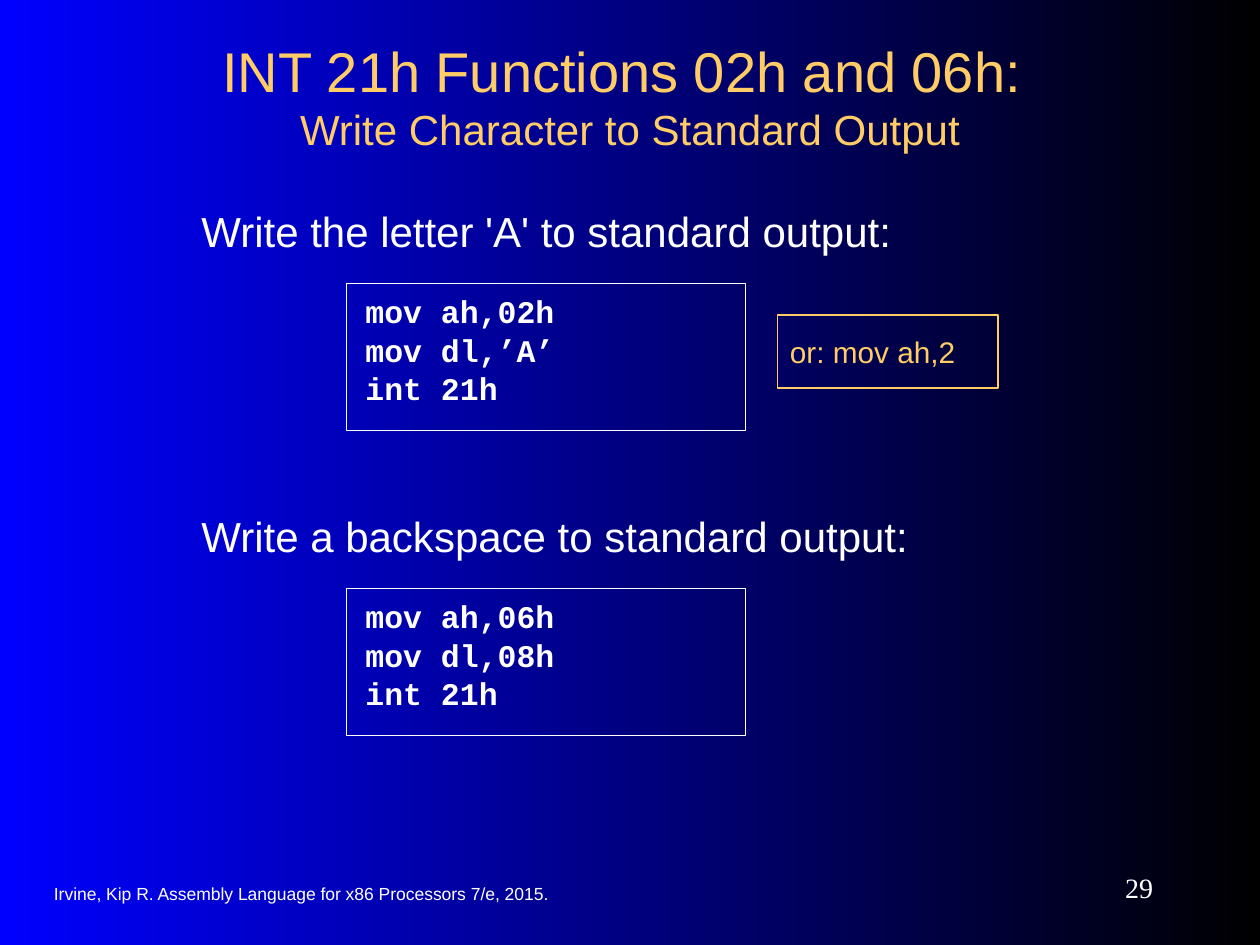
from pptx import Presentation
from pptx.dml.color import RGBColor
from pptx.enum.shapes import MSO_SHAPE
from pptx.enum.text import MSO_ANCHOR, PP_ALIGN
from pptx.util import Inches, Pt

WHITE = "FFFFFF"
GOLD = "FFCC66"


def color(value):
    return RGBColor.from_string(value)


def write(para, text, size, shade=WHITE, font="Arial", bold=False):
    span = para.add_run()
    span.text = text
    span.font.name = font
    span.font.size = Pt(size)
    span.font.bold = bold
    span.font.color.rgb = color(shade)


deck = Presentation()
deck.slide_width = Inches(10)
deck.slide_height = Inches(7.5)
page = deck.slides.add_slide(deck.slide_layouts[6])

# Background: blue on the left fading to black
fill = page.background.fill
fill.gradient()
fill.gradient_angle = 0
for stop, shade, position in zip(fill.gradient_stops, ("0000FF", "000000"), (0, 1)):
    stop.color.rgb = color(shade)
    stop.position = position

# Footer and page number
for left, top, width, height, text, size, font, align in (
    (0.33, 6.93, 4.83, 0.33, "Irvine, Kip R. Assembly Language for x86 Processors 7/e, 2015.",
     10, "Arial", PP_ALIGN.LEFT),
    (8.17, 6.83, 1.08, 0.42, "29", 16, "Times New Roman", PP_ALIGN.RIGHT),
):
    box = page.shapes.add_textbox(Inches(left), Inches(top), Inches(width), Inches(height))
    box.text_frame.word_wrap = True
    box.text_frame.vertical_anchor = MSO_ANCHOR.MIDDLE
    para = box.text_frame.paragraphs[0]
    para.alignment = align
    write(para, text, size, font=font)

# Title in two sizes
title = page.shapes.add_textbox(Inches(0.75), Inches(0.42), Inches(8.5), Inches(0.67))
title.text_frame.word_wrap = True
title.text_frame.vertical_anchor = MSO_ANCHOR.MIDDLE
para = title.text_frame.paragraphs[0]
para.alignment = PP_ALIGN.CENTER
write(para, "INT 21h Functions 02h and 06h: ", 32, GOLD)
para.add_line_break()
write(para, "Write Character to Standard Output", 24, GOLD)

# Two examples: a heading above a framed code listing
for heading_top, code_top, heading, code in (
    (1.58, 2.25, "Write the letter 'A' to standard output:",
     ("mov ah,02h", "mov dl,’A’", "int 21h")),
    (4, 4.67, "Write a backspace to standard output:",
     ("mov ah,06h", "mov dl,08h", "int 21h")),
):
    box = page.shapes.add_textbox(Inches(1.5), Inches(heading_top), Inches(7.08), Inches(2.25))
    box.text_frame.word_wrap = True
    para = box.text_frame.paragraphs[0]
    para.space_before = Pt(6)
    write(para, heading, 24)

    listing = page.shapes.add_shape(
        MSO_SHAPE.RECTANGLE, Inches(2.75), Inches(code_top), Inches(3.17), Inches(1.17))
    listing.shadow.inherit = False
    listing.fill.background()
    listing.line.color.rgb = color(WHITE)
    listing.line.width = Pt(0.75)
    frame = listing.text_frame
    frame.word_wrap = True
    frame.vertical_anchor = MSO_ANCHOR.TOP
    frame.margin_left = frame.margin_right = Inches(0.15)
    frame.margin_top = frame.margin_bottom = Inches(0.2)
    for number, line in enumerate(code):
        para = frame.add_paragraph() if number else frame.paragraphs[0]
        para.alignment = PP_ALIGN.LEFT
        para.line_spacing = 0.5
        para.space_before = Pt(11.2)
        write(para, line, 18, font="Courier New", bold=True)

# Side note with the alternative form
note = page.shapes.add_shape(
    MSO_SHAPE.RECTANGLE, Inches(6.17), Inches(2.5), Inches(1.75), Inches(0.58))
note.shadow.inherit = False
note.fill.background()
note.line.color.rgb = color(GOLD)
note.line.width = Pt(0.75)
frame = note.text_frame
frame.word_wrap = True
frame.vertical_anchor = MSO_ANCHOR.TOP
frame.margin_top = frame.margin_bottom = Inches(0.15)
para = frame.paragraphs[0]
para.alignment = PP_ALIGN.LEFT
para.space_before = Pt(10.6)
write(para, "or: mov ah,2", 17, GOLD)

deck.save("out.pptx")
